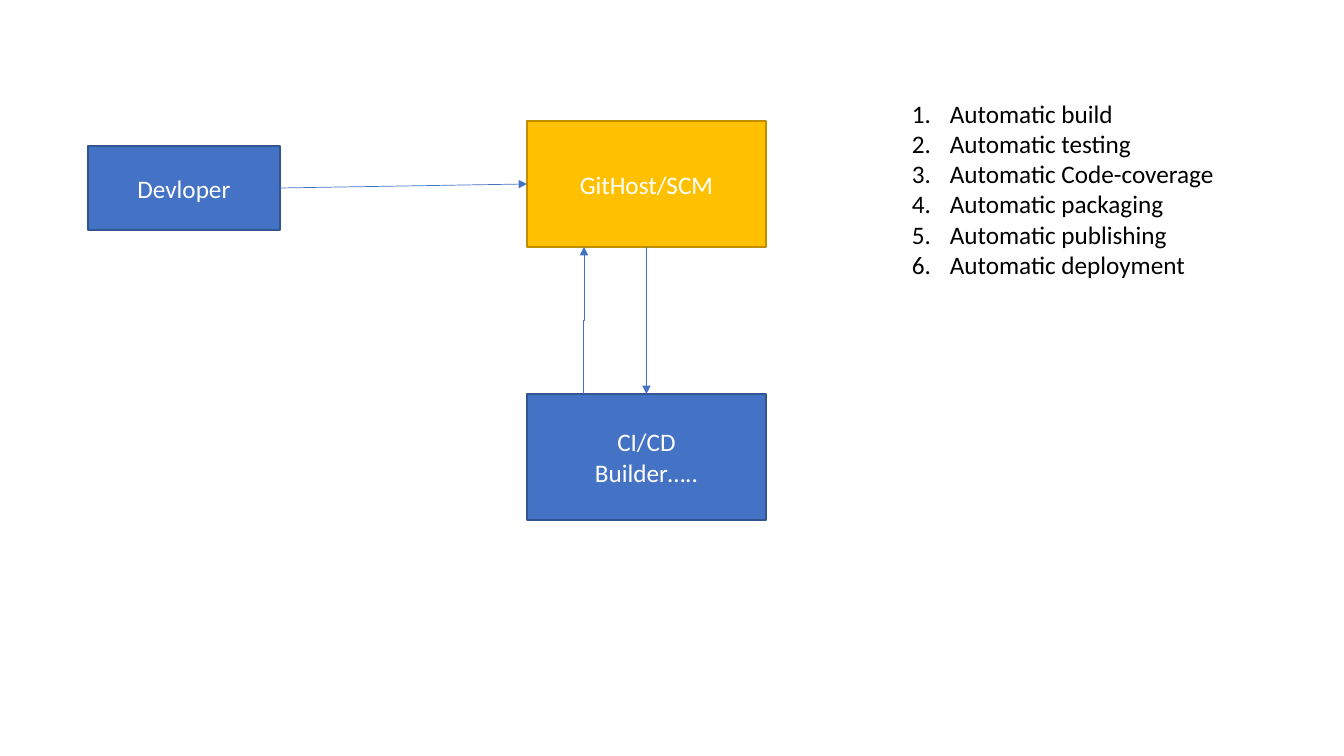
from lxml import etree
from pptx import Presentation
from pptx.dml.color import RGBColor
from pptx.enum.shapes import MSO_CONNECTOR as CONN, MSO_SHAPE as SHAPE
from pptx.enum.text import MSO_ANCHOR as ANCHOR, MSO_AUTO_SIZE as FIT, PP_ALIGN as ALIGN
from pptx.oxml.ns import qn
from pptx.util import Pt

PX = 914400 / 100.8
INDENT = 38
COLORS = {
    "blue": "4472C4", "blue_edge": "325491",
    "gold": "FFC000", "gold_edge": "BD8E00",
    "white": "FFFFFF", "black": "000000",
}


def px(*lengths):
    """Turn pixel lengths into EMU."""
    return [round(n * PX) for n in lengths]


def write(tf, lines, color="black", size=18, align=ALIGN.LEFT, numbered=False):
    tf.word_wrap = True
    for i, line in enumerate(lines):
        p = tf.add_paragraph() if i else tf.paragraphs[0]
        p.alignment = align
        if numbered:
            indent, = px(INDENT)
            pPr = p._p.get_or_add_pPr()
            pPr.set("marL", str(indent))
            pPr.set("indent", str(-indent))
            etree.SubElement(pPr, qn("a:buFont"), typeface="+mj-lt")
            etree.SubElement(pPr, qn("a:buAutoNum"), type="arabicPeriod")
        r = p.add_run()
        r.text = line
        r.font.name = "Calibri"
        r.font.size = Pt(size)
        r.font.color.rgb = RGBColor.from_string(COLORS[color])


prs = Presentation()
prs.slide_width, prs.slide_height = px(1344, 756)
s = prs.slides.add_slide(prs.slide_layouts[6])

# Pipeline stages
stages = {}
for name, box, fill, lines in [
    ("scm", (527, 121, 239, 126), "gold", ["GitHost/SCM"]),
    ("ci", (527, 394, 239, 126), "blue", ["CI/CD", "Builder….."]),
    ("developer", (88, 146, 192, 84), "blue", ["Devloper"]),
]:
    sp = s.shapes.add_shape(SHAPE.RECTANGLE, *px(*box))
    sp.shadow.inherit = False
    sp.fill.solid()
    sp.fill.fore_color.rgb = RGBColor.from_string(COLORS[fill])
    sp.line.color.rgb = RGBColor.from_string(COLORS[fill + "_edge"])
    sp.line.width = Pt(1)
    sp.text_frame.vertical_anchor = ANCHOR.MIDDLE
    write(sp.text_frame, lines, color="white", align=ALIGN.CENTER)
    stages[name] = sp

# Automated steps
sp = s.shapes.add_textbox(*px(902, 93, 347, 194))
sp.text_frame.auto_size = FIT.SHAPE_TO_FIT_TEXT
steps = ["build", "testing", "Code-coverage", "packaging", "publishing", "deployment"]
write(sp.text_frame, [f"Automatic {step}" for step in steps], numbered=True)

# Arrows between stages; connection sites run top, left, bottom, right
arrows = []
for start, start_site, end, end_site in [("developer", 3, "scm", 1), ("scm", 2, "ci", 0)]:
    arrow = s.shapes.add_connector(CONN.STRAIGHT, 0, 0, 0, 0)
    arrow.begin_connect(stages[start], start_site)
    arrow.end_connect(stages[end], end_site)
    arrows.append(arrow)

# The return arrow is an elbow turned a quarter clockwise
feedback = s.shapes.add_connector(CONN.ELBOW, *px(657, 321, 510, 320))
feedback._element.spPr.find(qn("a:xfrm")).set("rot", "5400000")
arrows.append(feedback)

for arrow in arrows:
    arrow.line.color.rgb = RGBColor.from_string(COLORS["blue"])
    arrow.line.width = Pt(0.5)
    etree.SubElement(arrow.line._get_or_add_ln(), qn("a:tailEnd"), type="triangle")
    etree.SubElement(arrow._element.spPr, qn("a:effectLst"))

prs.save("out.pptx")
